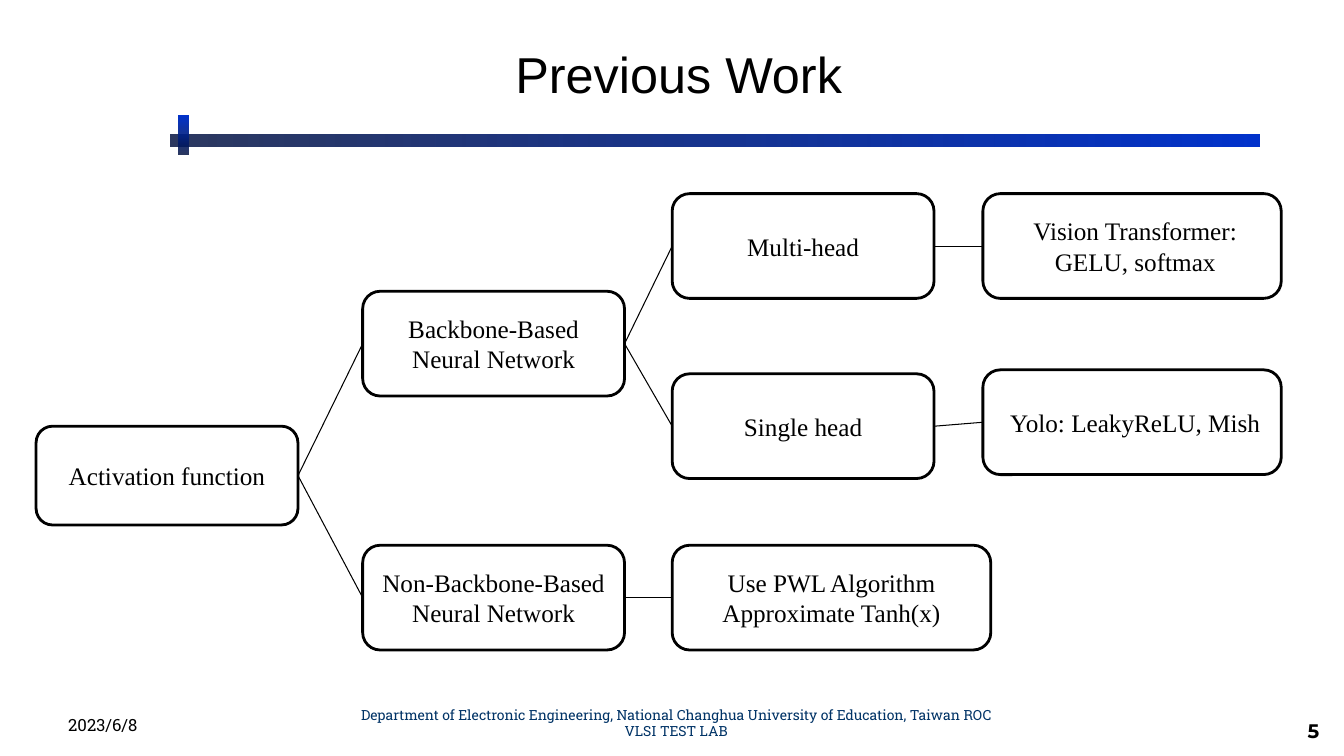
"""Build the Previous Work slide: a tree of activation functions."""
import pptx
import pptx.dml.color
import pptx.enum.dml
import pptx.enum.shapes
import pptx.enum.text
import pptx.oxml
import pptx.oxml.ns
import pptx.util
from lxml import etree

Cm = pptx.util.Cm
Pt = pptx.util.Pt
RGB = pptx.dml.color.RGBColor
Align = pptx.enum.text.PP_ALIGN
Anchor = pptx.enum.text.MSO_ANCHOR
Shape = pptx.enum.shapes.MSO_SHAPE
qn = pptx.oxml.ns.qn

BLACK = RGB(0x00, 0x00, 0x00)
WHITE = RGB(0xFF, 0xFF, 0xFF)
BLUE = RGB(0x00, 0x33, 0xCC)
DARK = RGB(0x00, 0x10, 0x40)
NAVY = RGB(0x00, 0x33, 0x66)

COLS = (0.91, 9.14, 16.94, 24.77)
WIDE = 6.6
HIGH = 2.64

NODES = {
    "root": (0, 10.74, WIDE, 2.49, "Activation function"),
    "back": (1, 7.34, WIDE, HIGH, "Backbone-Based\nNeural Network"),
    "non": (1, 13.74, WIDE, HIGH, "Non-Backbone-Based\nNeural Network"),
    "multi": (2, 4.88, WIDE, HIGH, "Multi-head"),
    "single": (2, 9.42, WIDE, HIGH, "Single head"),
    "tanh": (2, 13.74, 8.03, HIGH, "Use PWL Algorithm\nApproximate Tanh(x)"),
    "vision": (3, 4.88, 7.52, HIGH, "Vision Transformer: GELU, softmax"),
    "yolo": (3, 9.32, 7.52, HIGH, "Yolo: LeakyReLU, Mish"),
}
LINKS = (
    ("root", "back"), ("root", "non"), ("back", "multi"), ("back", "single"),
    ("non", "tanh"), ("multi", "vision"), ("single", "yolo"),
)


def write(frame, text, font="Times New Roman", size=18, color=BLACK,
          bold=False, align=Align.CENTER, anchor=Anchor.MIDDLE):
    """Fill a text frame, one paragraph for each line of text."""
    frame.word_wrap = True
    frame.vertical_anchor = anchor
    frame.text = text
    for para in frame.paragraphs:
        para.alignment = align
        para.font.name = font
        para.font.size = Pt(size)
        para.font.bold = bold
        para.font.color.rgb = color


def label(slide, box, text, **style):
    """Add a text box at the given place in centimetres."""
    area = slide.shapes.add_textbox(*map(Cm, box))
    write(area.text_frame, text, **style)


def bar(slide, box, angle):
    """Add a bar that fades from blue to a half-clear dark tone."""
    shape = slide.shapes.add_shape(Shape.RECTANGLE, *map(Cm, box))
    shape.shadow.inherit = False
    shape.line.fill.background()
    shape.fill.gradient()
    shape.fill.gradient_angle = angle
    first, last = shape.fill.gradient_stops
    first.position, last.position = 0, 1
    first.color.rgb, last.color.rgb = BLUE, DARK
    tone = list(shape.element.iter(qn("a:srgbClr")))[-1]
    etree.SubElement(tone, qn("a:alpha"), val="83000")


def node(slide, col, top, width, height, text):
    """Add one rounded box of the tree."""
    box = (COLS[col], top, width, height)
    shape = slide.shapes.add_shape(Shape.ROUNDED_RECTANGLE, *map(Cm, box))
    shape.shadow.inherit = False
    shape.fill.solid()
    shape.fill.fore_color.rgb = WHITE
    shape.line.color.rgb = BLACK
    shape.line.width = Pt(2)
    write(shape.text_frame, text)
    if col == 3:
        shape.text_frame.margin_left = Cm(0.41)
    return shape


def link(slide, start, end):
    """Join the right side of one box to the left side of the next."""
    kind = pptx.enum.shapes.MSO_CONNECTOR.STRAIGHT
    line = slide.shapes.add_connector(kind, 0, 0, 0, 0)
    line.begin_connect(start, 3)
    line.end_connect(end, 1)
    line.line.color.rgb = BLACK
    line.line.width = Pt(0.75)
    etree.SubElement(line.element.spPr, qn("a:effectLst"))


def main():
    """Build and save the slide."""
    deck = pptx.Presentation()
    deck.slide_width, deck.slide_height = Cm(33.87), Cm(19.05)
    slide = deck.slides.add_slide(deck.slide_layouts[6])

    bar(slide, (4.29, 3.38, 27.46, 0.32), 180)
    bar(slide, (4.5, 2.9, 0.26, 1), 270)
    label(slide, (3.48, 0.2, 27.25, 3.3), "Previous Work",
          font="Arial", size=36)
    label(slide, (1.7, 17.35, 30.68, 1.73),
          "Department of Electronic Engineering, National Changhua "
          "University of Education, Taiwan ROC\nVLSI TEST LAB",
          font="Roboto Slab", size=10, color=NAVY)
    label(slide, (25.63, 17.6, 7.87, 1.24), "5", font="Montserrat", size=14,
          bold=True, align=Align.RIGHT, anchor=Anchor.BOTTOM)
    label(slide, (1.47, 17.35, 7.87, 1.3), "2023/6/8", font="Roboto Slab",
          size=12, align=Align.LEFT, anchor=Anchor.BOTTOM)

    boxes = {name: node(slide, *data) for name, data in NODES.items()}
    for start, end in LINKS:
        link(slide, boxes[start], boxes[end])

    deck.save("out.pptx")


if __name__ == "__main__":
    main()
